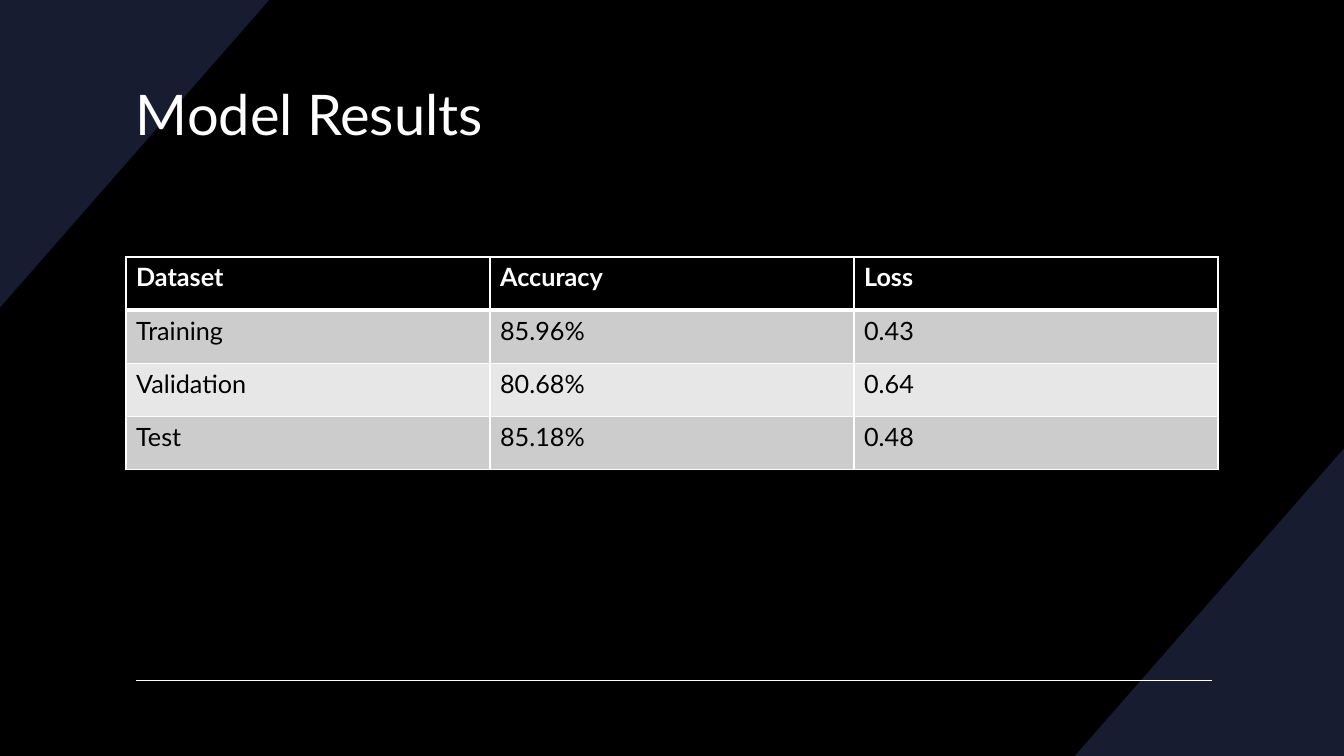
from dataclasses import dataclass

from lxml.etree import SubElement
from pptx import Presentation
from pptx.dml.color import RGBColor
from pptx.enum.shapes import MSO_CONNECTOR
from pptx.enum.text import MSO_ANCHOR
from pptx.oxml.ns import qn
from pptx.slide import Slide
from pptx.table import _Cell
from pptx.text.text import TextFrame
from pptx.util import Emu, Inches, Pt

WIDTH, HEIGHT = Inches(13.333), Inches(7.5)
FONT = "Lato"
COLORS = {
    "black": "000000",
    "white": "FFFFFF",
    "navy": "181C30",
    "band": "CCCCCC",
    "light": "E7E7E7",
}

# Shares of the slide, in percent
LEFT, SPAN = 9.38, 81.25
TITLE_TOP, TITLE_HEIGHT = 5.07, 19.87
TABLE_TOP, ROW_HEIGHT = 34, 7.03
CORNER_W, CORNER_H = 20.03, 40.67
RULE_LEFT, RULE_RIGHT, RULE_TOP = 10.13, 90.17, 90


@dataclass(frozen=True)
class Corner:
    points: tuple[tuple[float, float], ...]


@dataclass(frozen=True)
class Result:
    dataset: str
    accuracy: str
    loss: str


CORNERS = (
    Corner(((100, 100 - CORNER_H), (100, 100), (100 - CORNER_W, 100))),
    Corner(((0, CORNER_H), (0, 0), (CORNER_W, 0))),
)
HEADER = ("Dataset", "Accuracy", "Loss")
RESULTS = (
    Result("Training", "85.96%", "0.43"),
    Result("Validation", "80.68%", "0.64"),
    Result("Test", "85.18%", "0.48"),
)


def x(share: float) -> Emu:
    return Emu(round(WIDTH * share / 100))


def y(share: float) -> Emu:
    return Emu(round(HEIGHT * share / 100))


def color(name: str) -> RGBColor:
    return RGBColor.from_string(COLORS[name])


def write(tf: TextFrame, text: str, *, size: float, ink: str, bold: bool = False) -> None:
    r = tf.paragraphs[0].add_run()
    r.text = text
    r.font.name, r.font.size, r.font.bold = FONT, Pt(size), bold
    r.font.color.rgb = color(ink)


def add_corner(s: Slide, corner: Corner) -> None:
    start, *rest = [(x(across), y(down)) for across, down in corner.points]
    builder = s.shapes.build_freeform(*start)
    builder.add_line_segments(rest, close=True)
    sp = builder.convert_to_shape()
    sp.shadow.inherit = False
    sp.fill.solid()
    sp.fill.fore_color.rgb = color("navy")
    sp.line.fill.background()


def add_rule(s: Slide) -> None:
    rule = s.shapes.add_connector(
        MSO_CONNECTOR.STRAIGHT, x(RULE_LEFT), y(RULE_TOP), x(RULE_RIGHT), y(RULE_TOP)
    )
    rule.line.color.rgb = color("white")
    rule.line.width = Pt(1)
    SubElement(rule._element.spPr, qn("a:effectLst"))


def add_title(s: Slide, text: str) -> None:
    box = s.shapes.add_textbox(x(LEFT), y(TITLE_TOP), x(SPAN), y(TITLE_HEIGHT))
    tf = box.text_frame
    tf.word_wrap = True
    tf.vertical_anchor = MSO_ANCHOR.MIDDLE
    write(tf, text, size=40, ink="white")


def style_cell(cell: _Cell, fill: str, top: float, bottom: float) -> None:
    tc_pr = cell._tc.get_or_add_tcPr()
    # Borders come before the fill in the cell's properties
    for side, points in (("L", 1), ("R", 1), ("T", top), ("B", bottom)):
        ln = SubElement(tc_pr, qn(f"a:ln{side}"), w=str(Pt(points)))
        SubElement(SubElement(ln, qn("a:solidFill")), qn("a:srgbClr"), val=COLORS["white"])
    cell.fill.solid()
    cell.fill.fore_color.rgb = color(fill)


def add_results(s: Slide, results: tuple[Result, ...]) -> None:
    rows = [HEADER] + [(item.dataset, item.accuracy, item.loss) for item in results]
    table = s.shapes.add_table(
        len(rows), len(HEADER), x(LEFT), y(TABLE_TOP), x(SPAN), y(ROW_HEIGHT * len(rows))
    ).table
    for i, row in enumerate(rows):
        header = i == 0
        fill = "black" if header else "band" if i % 2 else "light"
        for j, text in enumerate(row):
            cell = table.cell(i, j)
            style_cell(cell, fill, top=3 if i == 1 else 1, bottom=3 if header else 1)
            write(cell.text_frame, text, size=18, ink="white" if header else "black", bold=header)


def main() -> None:
    prs = Presentation()
    prs.slide_width, prs.slide_height = WIDTH, HEIGHT
    s = prs.slides.add_slide(prs.slide_layouts[6])

    # Background and decoration
    s.background.fill.solid()
    s.background.fill.fore_color.rgb = color("black")
    for corner in CORNERS:
        add_corner(s, corner)
    add_rule(s)

    # Content
    add_title(s, "Model Results")
    add_results(s, RESULTS)

    prs.save("out.pptx")


if __name__ == "__main__":
    main()
